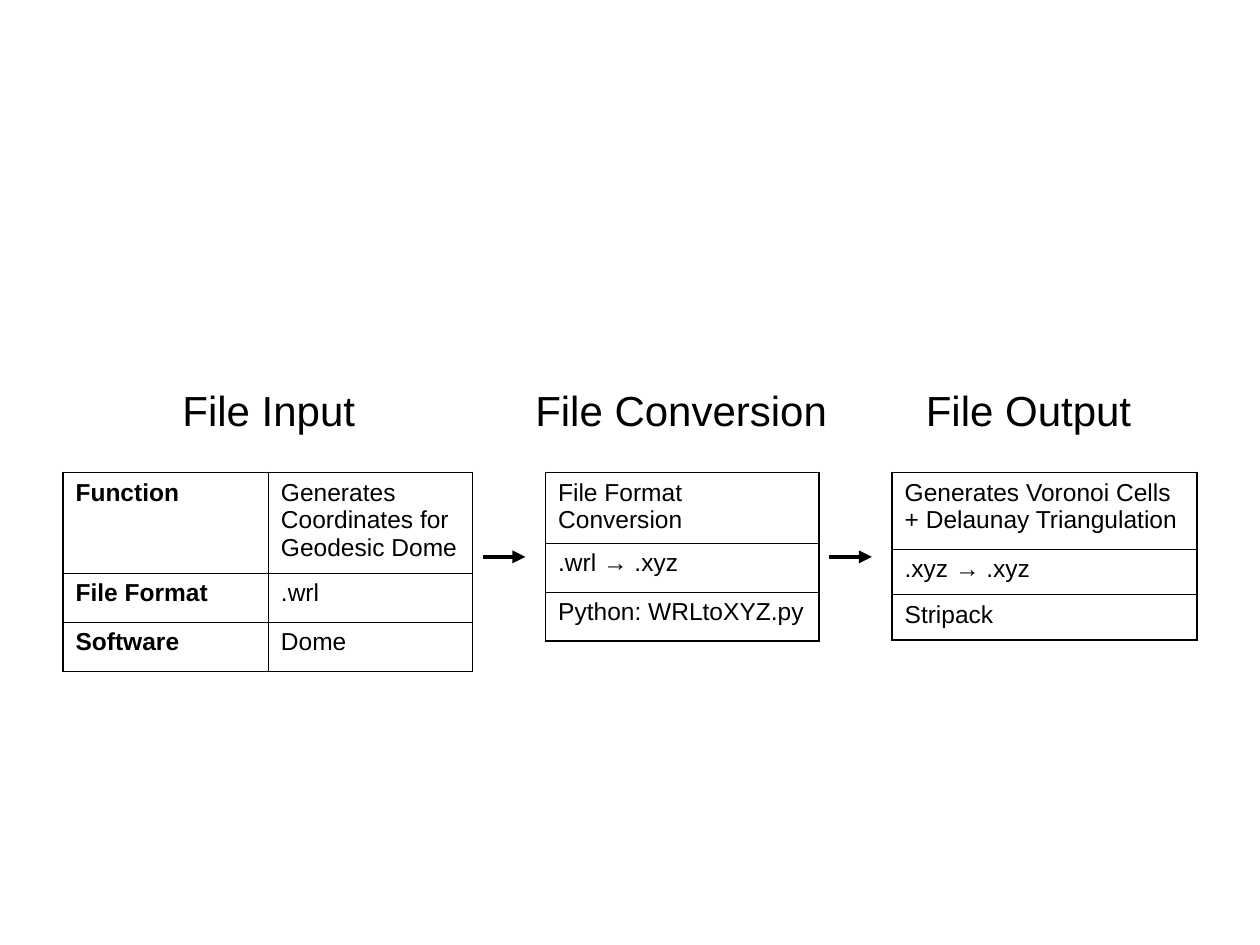
from lxml import etree
from pptx import Presentation
from pptx import util as u
from pptx.dml.color import RGBColor
from pptx.enum import shapes, text
from pptx.oxml import ns

BLACK = RGBColor(0, 0, 0)
OUTER, INNER = u.Pt(1.08), u.Pt(0.45)
TOP = 3.75

tables = [
    (0.5, [1.63, 1.62], [0.8, 0.39, 0.39], [
        ["Function", "Generates Coordinates for Geodesic Dome"],
        ["File Format", ".wrl"],
        ["Software", "Dome"],
    ]),
    (4.33, [2.17], [0.56, 0.39, 0.39], [
        ["File Format Conversion"], [".wrl → .xyz"], ["Python: WRLtoXYZ.py"],
    ]),
    (7.08, [2.42], [0.61, 0.36, 0.36], [
        ["Generates Voronoi Cells + Delaunay Triangulation"], [".xyz → .xyz"], ["Stripack"],
    ]),
]
headings = [("File Input", 1.35, 1.57), ("File Conversion", 4.15, 2.54), ("File Output", 7.25, 1.83)]


def set_border(cell, side, width):
    ln = etree.SubElement(cell._tc.get_or_add_tcPr(), ns.qn("a:ln" + side), w=str(width))
    fill = etree.SubElement(ln, ns.qn("a:solidFill"))
    etree.SubElement(fill, ns.qn("a:srgbClr"), val=str(BLACK))


def style(p, size, bold=False):
    p.font.name = "Arial"
    p.font.size = u.Pt(size)
    p.font.bold = bold
    p.font.color.rgb = BLACK


prs = Presentation()
prs.slide_width, prs.slide_height = u.Inches(10), u.Inches(7.5)
s = prs.slides.add_slide(prs.slide_layouts[6])

for left, widths, heights, rows in tables:
    n_rows, n_cols = len(heights), len(widths)
    table = s.shapes.add_table(n_rows, n_cols, u.Inches(left), u.Inches(TOP),
                               u.Inches(sum(widths)), u.Inches(sum(heights))).table
    table.first_row = table.horz_banding = False
    for col, width in zip(table.columns, widths):
        col.width = u.Inches(width)
    for row, height in zip(table.rows, heights):
        row.height = u.Inches(height)
    for i, row in enumerate(rows):
        for j, label in enumerate(row):
            cell = table.cell(i, j)
            cell.text = label
            p = cell.text_frame.paragraphs[0]
            p.space_before = u.Pt(3.5)
            style(p, 14, bold=n_cols == 2 and j == 0)
            edges = {"L": j == 0, "R": j == n_cols - 1, "T": i == 0, "B": i == n_rows - 1}
            for side, is_outer in edges.items():
                set_border(cell, side, OUTER if is_outer else INNER)
            cell.fill.background()

for x in (3.83, 6.58):
    arrow = s.shapes.add_connector(shapes.MSO_CONNECTOR.STRAIGHT, u.Inches(x), u.Inches(4.42),
                                   u.Inches(x + 0.34), u.Inches(4.42))
    arrow.line.color.rgb = BLACK
    arrow.line.width = u.Pt(2.5)
    etree.SubElement(arrow.line._get_or_add_ln(), ns.qn("a:tailEnd"), type="triangle")
    etree.SubElement(arrow._element.spPr, ns.qn("a:effectLst"))

for heading, left, width in headings:
    sp = s.shapes.add_textbox(u.Inches(left), u.Inches(3), u.Inches(width), u.Inches(0.5))
    tf = sp.text_frame
    tf.word_wrap = False
    tf.auto_size = text.MSO_AUTO_SIZE.SHAPE_TO_FIT_TEXT
    tf.text = heading
    style(tf.paragraphs[0], 24)

prs.save("out.pptx")
